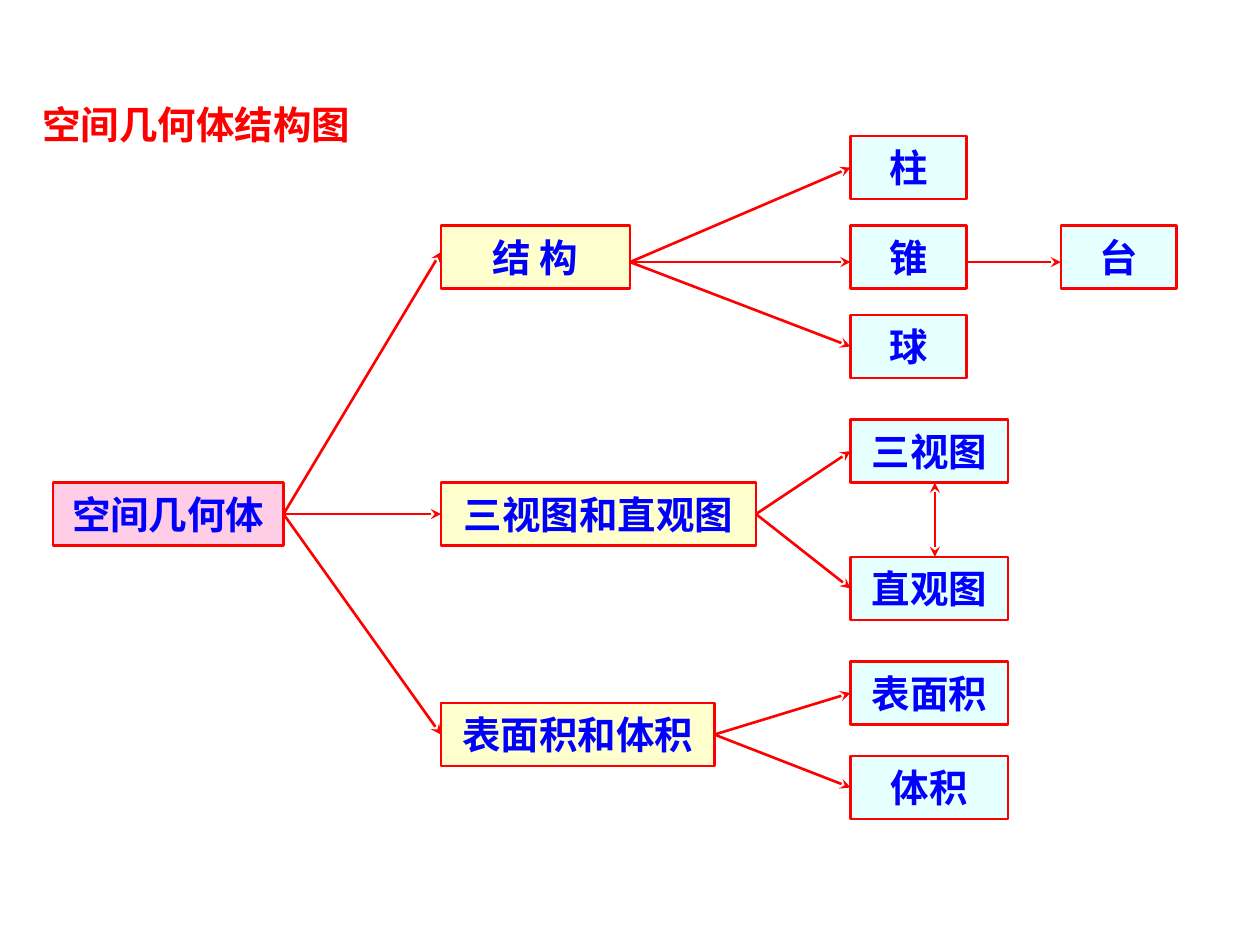
from dataclasses import dataclass

from lxml import etree
from pptx import Presentation
from pptx.dml.color import RGBColor as RGB
from pptx.enum.shapes import MSO_CONNECTOR as CONN, MSO_SHAPE as SHAPE
from pptx.enum.text import MSO_ANCHOR as ANCHOR, PP_ALIGN as ALIGN
from pptx.oxml.ns import qn
from pptx.util import Inches, Pt


@dataclass(frozen=True)
class Theme:
    root: str = "FF99CC"
    branch: str = "FFFF99"
    leaf: str = "CCFFFF"
    accent: str = "FF0000"
    label: str = "0000FF"
    opacity: int = 49
    size: int = 22
    line: float = 1.5
    font: str = "Arial"
    cjk_font: str = "Noto Sans CJK SC"


RIGHT, LEFT = 3, 1
BOX_H = 0.5


class Diagram:
    def __init__(self, slide, theme):
        self.slide, self.theme = slide, theme

    def set_text(self, p, text, color, font):
        p.text = text
        f = p.font
        f.name, f.size, f.bold = font, Pt(self.theme.size), True
        f.color.rgb = RGB.from_string(color)
        ea = etree.SubElement(p._p.pPr.find(qn("a:defRPr")), qn("a:ea"))
        ea.set("typeface", self.theme.cjk_font)

    def title(self, text, x, y, w, h):
        s = self.slide.shapes.add_textbox(Inches(x), Inches(y), Inches(w), Inches(h))
        s.text_frame.word_wrap = True
        self.set_text(s.text_frame.paragraphs[0], text, self.theme.accent, self.theme.cjk_font)

    def box(self, text, x, y, w, color):
        s = self.slide.shapes.add_shape(
            SHAPE.RECTANGLE, Inches(x), Inches(y), Inches(w), Inches(BOX_H))
        s.shadow.inherit = False
        s.fill.solid()
        s.fill.fore_color.rgb = RGB.from_string(color)
        clr = s._element.spPr.find(qn("a:solidFill"))[0]
        etree.SubElement(clr, qn("a:alpha")).set("val", str(self.theme.opacity * 1000))
        s.line.color.rgb = RGB.from_string(self.theme.accent)
        s.line.width = Pt(self.theme.line)
        tf = s.text_frame
        tf.word_wrap, tf.vertical_anchor = False, ANCHOR.MIDDLE
        p = tf.paragraphs[0]
        p.alignment = ALIGN.CENTER
        self.set_text(p, text, self.theme.label, self.theme.font)
        return s

    def arrow(self, x1, y1, x2, y2):
        c = self.slide.shapes.add_connector(CONN.STRAIGHT, x1, y1, x2, y2)
        c.line.color.rgb = RGB.from_string(self.theme.accent)
        c.line.width = Pt(self.theme.line)
        sp_pr = c._element.spPr
        etree.SubElement(sp_pr.find(qn("a:ln")), qn("a:tailEnd")).set("type", "stealth")
        etree.SubElement(sp_pr, qn("a:effectLst"))
        return c

    def link(self, a, b, y1=None, y2=None):
        """Join right side of a to left side of b; a given height replaces the middle."""
        start = a.top + a.height // 2 if y1 is None else Inches(y1)
        end = b.top + b.height // 2 if y2 is None else Inches(y2)
        c = self.arrow(a.left + a.width, start, b.left, end)
        if y1 is None:
            c.begin_connect(a, RIGHT)
        if y2 is None:
            c.end_connect(b, LEFT)


def main():
    prs = Presentation()
    prs.slide_width, prs.slide_height = Inches(10), Inches(7.5)
    t = Theme()
    d = Diagram(prs.slides.add_slide(prs.slide_layouts[6]), t)

    # Boxes, by column
    root = d.box("空间几何体", 0.42, 3.83, 1.83, t.root)
    structure, views, measures = [
        d.box(text, 3.5, y, w, t.branch)
        for text, y, w in [("结 构", 1.79, 1.5), ("三视图和直观图", 3.83, 2.5),
                           ("表面积和体积", 5.58, 2.17)]]
    prism, cone, ball, three_view, drawing, surface, volume = [
        d.box(text, 6.75, y, w, t.leaf)
        for text, y, w in [("柱", 1.08, 0.92), ("锥", 1.79, 0.92), ("球", 2.5, 0.92),
                           ("三视图", 3.33, 1.25), ("直观图", 4.42, 1.25),
                           ("表面积", 5.25, 1.25), ("体积", 6, 1.25)]]
    frustum = d.box("台", 8.42, 1.79, 0.92, t.leaf)

    # Arrows in the structure row run slightly off the box middles
    row_y = 2.08
    d.link(root, structure, y2=2)
    d.link(structure, prism, y1=row_y)
    d.link(structure, cone, y1=row_y, y2=row_y)
    d.link(structure, ball, y1=row_y)
    d.link(cone, frustum, y1=row_y, y2=row_y)

    # Arrows between box middles
    for a, b in [(root, views), (root, measures), (views, three_view),
                 (views, drawing), (measures, surface), (measures, volume)]:
        d.link(a, b)

    # Opposed arrows between the two kinds of view
    for y1, y2 in [(3.92, 4.42), (4.33, 3.83)]:
        d.arrow(Inches(7.42), Inches(y1), Inches(7.42), Inches(y2))

    # Title
    d.title("空间几何体结构图", 0.24, 0.75, 3.47, 0.47)

    prs.save("out.pptx")


if __name__ == "__main__":
    main()
